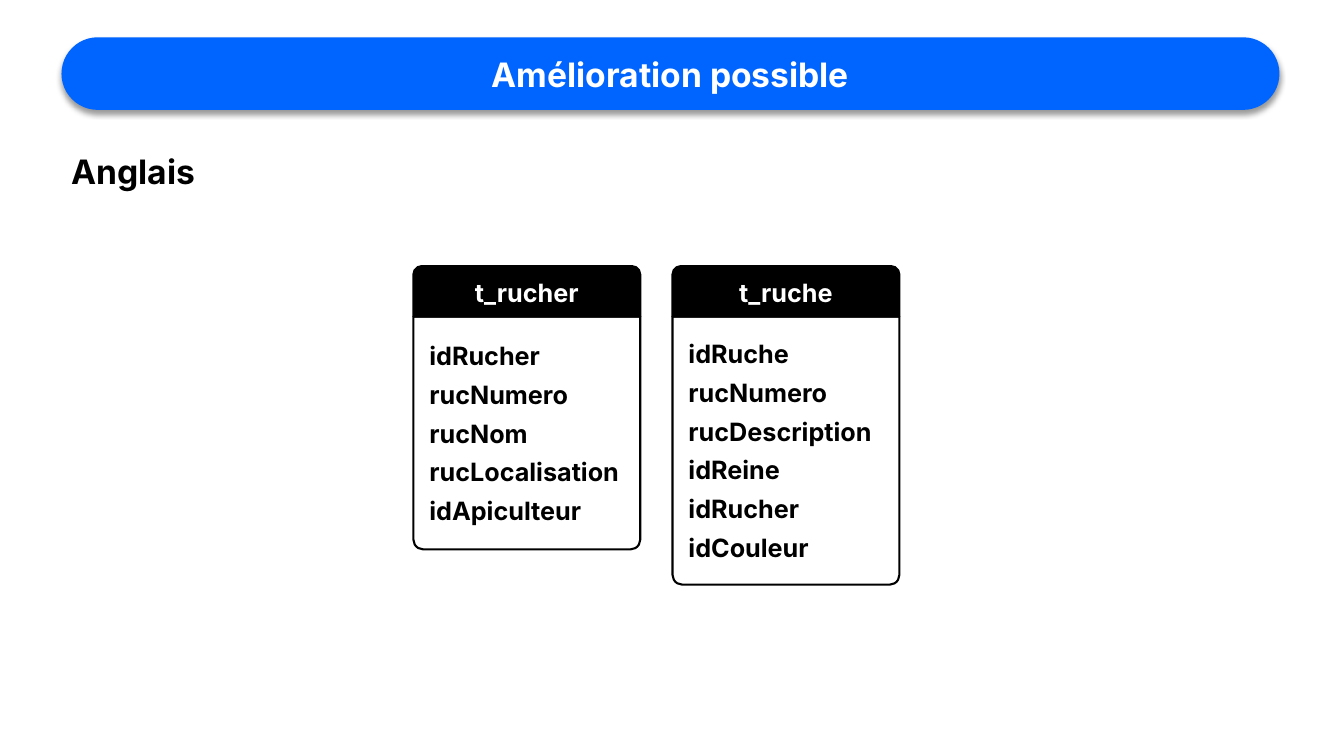
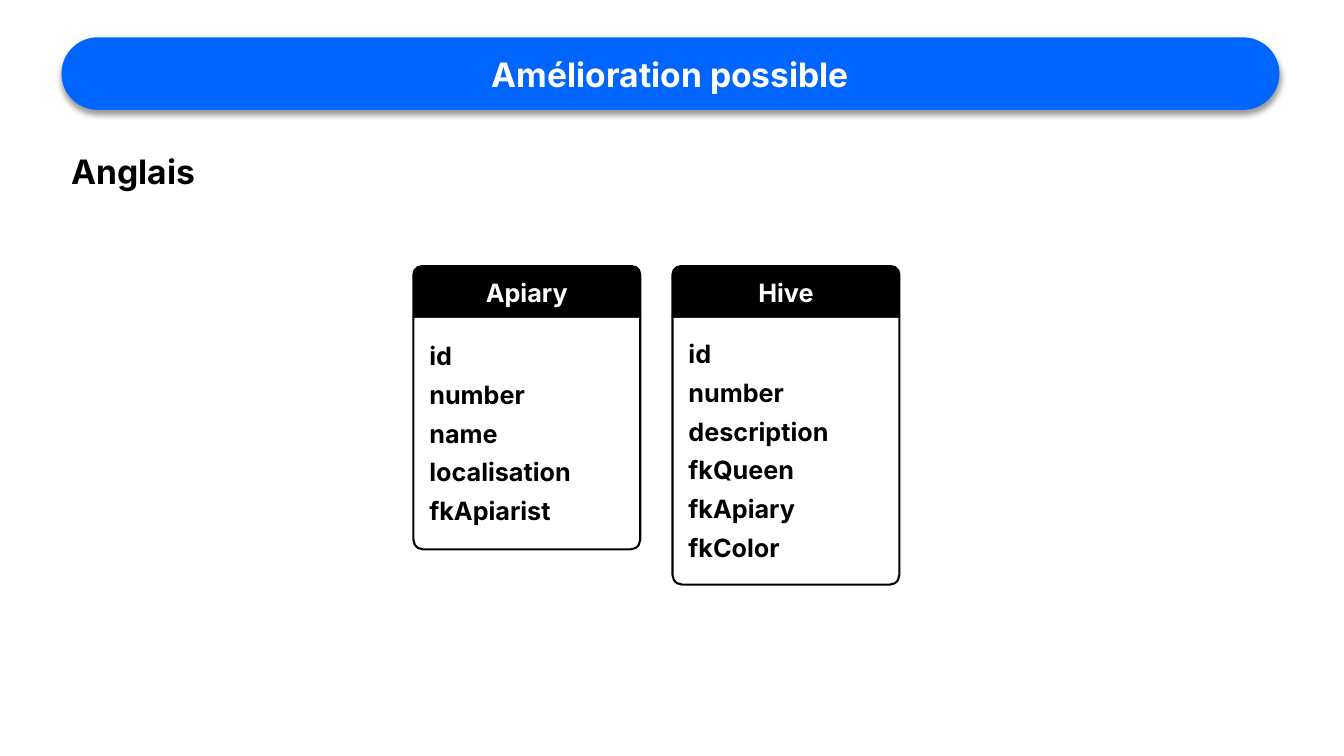
from lxml import etree
from pptx import Presentation
from pptx.dml.color import RGBColor
from pptx.enum.shapes import MSO_SHAPE as SHAPE
from pptx.enum.text import MSO_ANCHOR as ANCHOR, MSO_AUTO_SIZE as AUTO, PP_ALIGN as ALIGN
from pptx.oxml.ns import qn
from pptx.util import Inches, Pt

# Shared style
BLUE, BLACK, WHITE = "0065FF", "000000", "FFFFFF"
FONT = "Inter"
BAND = [Inches(v) for v in (0.61, 0.37, 12.08, 0.72)]

# Card grid, in inches
CARD_X, CARD_Y, CARD_W, PITCH = 4.1, 2.64, 2.25, 2.57
HEAD_H, ROW_H, BODY_PAD, TEXT_INDENT = 0.5, 0.35, 0.56, 0.06

# One entry per slide: (table name, fields)
SLIDES = [
    [("t_rucher", ["idRucher", "rucNumero", "rucNom", "rucLocalisation", "idApiculteur"]),
     ("t_ruche", ["idRuche", "rucNumero", "rucDescription", "idReine", "idRucher", "idCouleur"])],
    [("Apiary", ["id", "number", "name", "localisation", "fkApiarist"]),
     ("Hive", ["id", "number", "description", "fkQueen", "fkApiary", "fkColor"])],
]


def rgb(color):
    return RGBColor.from_string(color)


def write(sp, lines, size, color, align=ALIGN.LEFT, anchor=ANCHOR.MIDDLE):
    tf = sp.text_frame
    frame = {"word_wrap": True, "auto_size": AUTO.NONE, "vertical_anchor": anchor}
    for name, value in frame.items():
        setattr(tf, name, value)
    for i, line in enumerate(lines):
        p = tf.add_paragraph() if i else tf.paragraphs[0]
        p.alignment = align
        p.space_before = Pt(6 if i else 0)
        r = p.add_run()
        r.text = line
        for name, value in {"name": FONT, "size": Pt(size), "bold": True}.items():
            setattr(r.font, name, value)
        r.font.color.rgb = rgb(color)


prs = Presentation()
prs.slide_width, prs.slide_height = Inches(13.33), Inches(7.5)
title_only = prs.slide_layouts[5]

for cards in SLIDES:
    s = prs.slides.add_slide(title_only)

    # Title band with its soft shadow, behind the title
    band = s.shapes.add_shape(SHAPE.ROUNDED_RECTANGLE, *BAND)
    band.adjustments[0] = 0.5
    band.fill.solid()
    band.fill.fore_color.rgb = rgb(BLUE)
    band.line.fill.background()
    band.shadow.inherit = False
    effects = band._element.spPr.find(qn("a:effectLst"))
    shadow = etree.SubElement(effects, qn("a:outerShdw"), blurRad=str(Pt(4)),
                              dist=str(Pt(3)), dir="5400000", algn="t", rotWithShape="0")
    shade = etree.SubElement(shadow, qn("a:srgbClr"), val=BLACK)
    etree.SubElement(shade, qn("a:alpha"), val="40000")
    s.shapes.title._element.addprevious(band._element)

    # Title and subtitle
    title = s.shapes.title
    title.left, title.top, title.width, title.height = BAND
    write(title, ["Amélioration possible"], 24, WHITE, ALIGN.CENTER)
    subtitle = s.shapes.add_textbox(BAND[0], Inches(1.45), Inches(3.98), Inches(0.5))
    write(subtitle, ["Anglais"], 24, BLACK, anchor=ANCHOR.TOP)

    # Table cards: black header, outlined body, list of fields
    for col, (name, fields) in enumerate(cards):
        x, body_y = CARD_X + col * PITCH, CARD_Y + HEAD_H
        body_h = BODY_PAD + ROW_H * len(fields)
        head, body = [
            s.shapes.add_shape(SHAPE.ROUND_2_SAME_RECTANGLE, Inches(x), Inches(y),
                               Inches(CARD_W), Inches(h))
            for y, h in ((CARD_Y, HEAD_H), (body_y, body_h))]
        for sp in (head, body):
            sp.shadow.inherit = False
            sp.line.color.rgb = rgb(BLACK)
            sp.line.width = Pt(1.5)
        head.fill.solid()
        head.fill.fore_color.rgb = rgb(BLACK)
        write(head, [name], 18, WHITE, ALIGN.CENTER)
        body.fill.background()
        body.rotation = 180
        body.adjustments[0] = 0.043
        field_list = s.shapes.add_textbox(Inches(x + TEXT_INDENT), Inches(body_y),
                                          Inches(CARD_W - TEXT_INDENT), Inches(body_h))
        write(field_list, fields, 18, BLACK)

prs.save("out.pptx")
